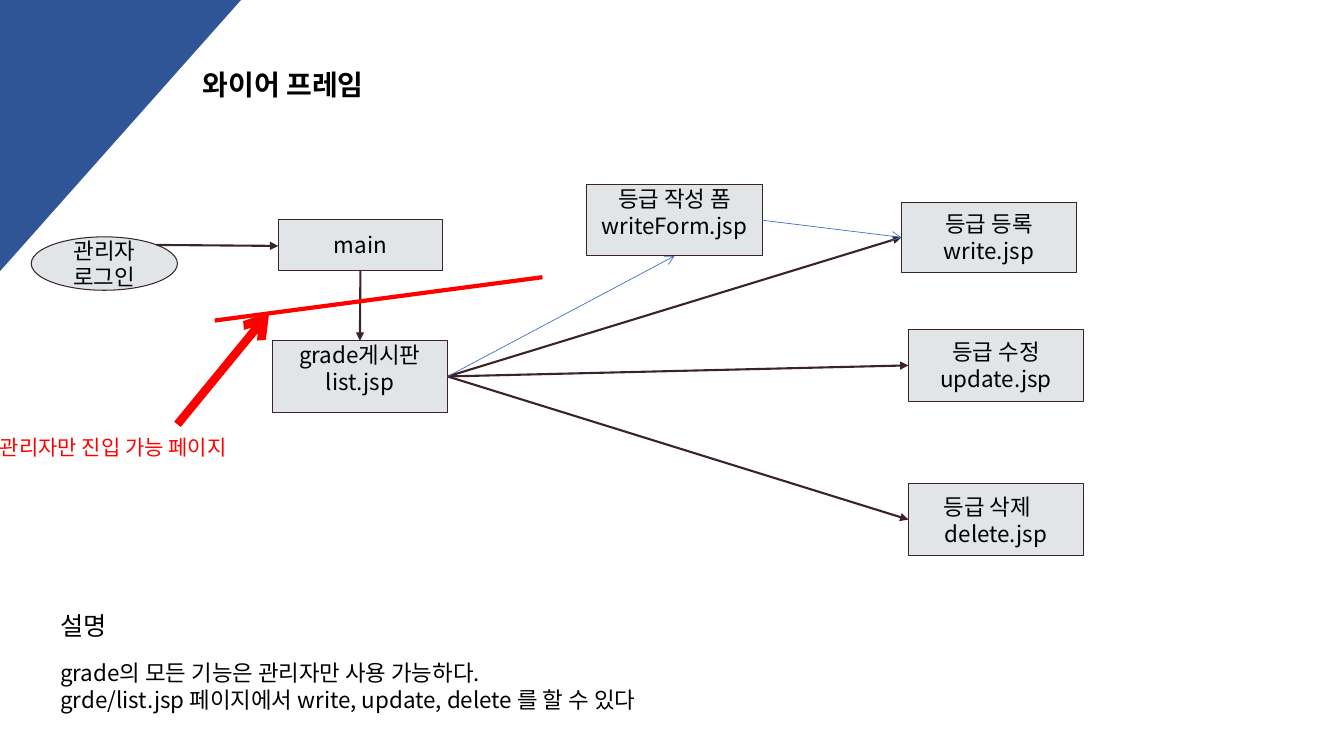
from pptx import Presentation, util as u
from pptx.dml.color import RGBColor
from pptx.enum import shapes, text
from pptx.oxml import xmlchemy as x

FONT = "Noto Sans CJK KR"
BLUE = RGBColor(0x2F, 0x55, 0x97)
THIN_BLUE = RGBColor(0x44, 0x72, 0xC4)
GREY = RGBColor(0xE2, 0xE5, 0xE8)
BROWN = RGBColor(0x3D, 0x22, 0x29)
RED = RGBColor(0xFF, 0, 0)
BLACK = RGBColor(0, 0, 0)
SHAPE = shapes.MSO_SHAPE
TOP, LEFT, BOTTOM, RIGHT = range(4)  # connection sites of a rectangle

deck = Presentation()
deck.slide_width, deck.slide_height = u.Inches(13.33), u.Inches(7.5)
page = deck.slides.add_slide(deck.slide_layouts[6])


def write(box, words, size, color=BLACK, bold=False, align=text.PP_ALIGN.LEFT, inset=0.1):
    frame = box.text_frame
    frame.word_wrap = True
    frame.margin_left = frame.margin_right = u.Inches(inset)
    frame.margin_top = frame.margin_bottom = u.Inches(0.1)
    frame.text = words
    for para in frame.paragraphs:
        para.alignment = align
        for span in para.runs:
            span.font.size, span.font.bold = u.Pt(size), bold
            span.font.name, span.font.color.rgb = FONT, color
            east_asian = x.OxmlElement("a:ea")
            east_asian.set("typeface", FONT)
            span.font._element.find(x.qn("a:latin")).addnext(east_asian)


def draw_line(start, end, color, width, head=None):
    line = page.shapes.add_connector(
        shapes.MSO_CONNECTOR.STRAIGHT, *map(u.Inches, start + end))
    line.line.color.rgb, line.line.width = color, u.Pt(width)
    if head:
        tail = x.OxmlElement("a:tailEnd")
        tail.set("type", head)
        line.line._get_or_add_ln().append(tail)
    line._element.spPr.append(x.OxmlElement("a:effectLst"))
    return line


# Corner triangle
corner = page.shapes.add_shape(
    SHAPE.RIGHT_TRIANGLE, *map(u.Inches, (-0.15, 0.15, 2.69, 2.39)))
corner.rotation = 90
corner.shadow.inherit = False
corner.fill.solid()
corner.fill.fore_color.rgb = BLUE
corner.line.fill.background()

# Pages of the site
WIDE, HIGH = 1.74, 0.71
PAGES = {
    "write": (SHAPE.RECTANGLE, 8.94, 2.01, WIDE, 0.69, "등급 등록\nwrite.jsp"),
    "update": (SHAPE.RECTANGLE, 9.01, 3.27, WIDE, HIGH, "등급 수정\nupdate.jsp"),
    "delete": (SHAPE.RECTANGLE, 9.01, 4.8, WIDE, HIGH, "등급 삭제\ndelete.jsp"),
    "list": (SHAPE.RECTANGLE, 2.7, 3.38, WIDE, HIGH, "grade게시판\nlist.jsp"),
    "main": (SHAPE.RECTANGLE, 2.76, 2.18, 1.63, 0.5, "main"),
    "login": (SHAPE.OVAL, 0.31, 2.35, 1.45, 0.53, "관리자 로그인"),
    "form": (SHAPE.RECTANGLE, 5.82, 1.83, WIDE, HIGH, "등급 작성 폼\nwriteForm.jsp"),
}
boxes = {}
for name, (kind, *place, words) in PAGES.items():
    box = boxes[name] = page.shapes.add_shape(kind, *map(u.Inches, place))
    box.shadow.inherit = False
    box.fill.solid()
    box.fill.fore_color.rgb = GREY
    box.line.color.rgb, box.line.width = BROWN, u.Pt(0.75)
    write(box, words, 16, align=text.PP_ALIGN.CENTER)
    box.text_frame.vertical_anchor = text.MSO_ANCHOR.MIDDLE

# Two boxes carry their text a little higher, one starts its first line at the left
for name in ("list", "form"):
    boxes[name].text_frame.margin_bottom = u.Inches(0.27)
first = boxes["delete"].text_frame.paragraphs[0]
first.alignment = text.PP_ALIGN.LEFT
first._p.get_or_add_pPr().set("marL", str(u.Inches(0.25)))

# Arrows between the pages
LINKS = [
    ("list", RIGHT, "write", LEFT, BROWN, 1.5, "triangle"),
    ("list", RIGHT, "update", LEFT, BROWN, 1.5, "triangle"),
    ("list", RIGHT, "delete", LEFT, BROWN, 1.5, "triangle"),
    ("main", BOTTOM, "list", TOP, BROWN, 1.5, "triangle"),
    ("list", RIGHT, "form", BOTTOM, THIN_BLUE, 0.5, "arrow"),
    ("form", RIGHT, "write", LEFT, THIN_BLUE, 0.5, "arrow"),
]
for source, out_site, target, in_site, color, width, head in LINKS:
    link = draw_line((0, 0), (1, 1), color, width, head)
    link.begin_connect(boxes[source], out_site)
    link.end_connect(boxes[target], in_site)
draw_line((1.55, 2.43), (2.76, 2.44), BROWN, 1.5, "triangle")

# Border of the admin area and its pointer
draw_line((5.38, 2.75), (2.13, 3.18), RED, 3)
draw_line((1.76, 4.21), (2.67, 3.1), RED, 6, "arrow")

# Free texts: place, words, size, colour, bold, side inset
TEXTS = [
    ((1.91, 0.62, 3.69, 0.43), "와이어 프레임", 20, BLACK, True, 0.1),
    ((0, 4.21, 3.27, 0.45), "관리자만 진입 가능 페이지", 15, RED, False, 0),
    ((0.5, 5.95, 1.63, 0.49), "설명", 18, BLACK, False, 0.1),
    ((0.5, 6.44, 7.12, 0.73),
     "grade의 모든 기능은 관리자만 사용 가능하다.\n"
     "grde/list.jsp 페이지에서 write, update, delete 를 할 수 있다",
     16, BLACK, False, 0.1),
]
for place, words, size, color, bold, inset in TEXTS:
    box = page.shapes.add_textbox(*map(u.Inches, place))
    write(box, words, size, color, bold, inset=inset)
    if bold:
        box.text_frame.margin_top = box.text_frame.margin_bottom = u.Inches(0.05)

deck.save("out.pptx")
